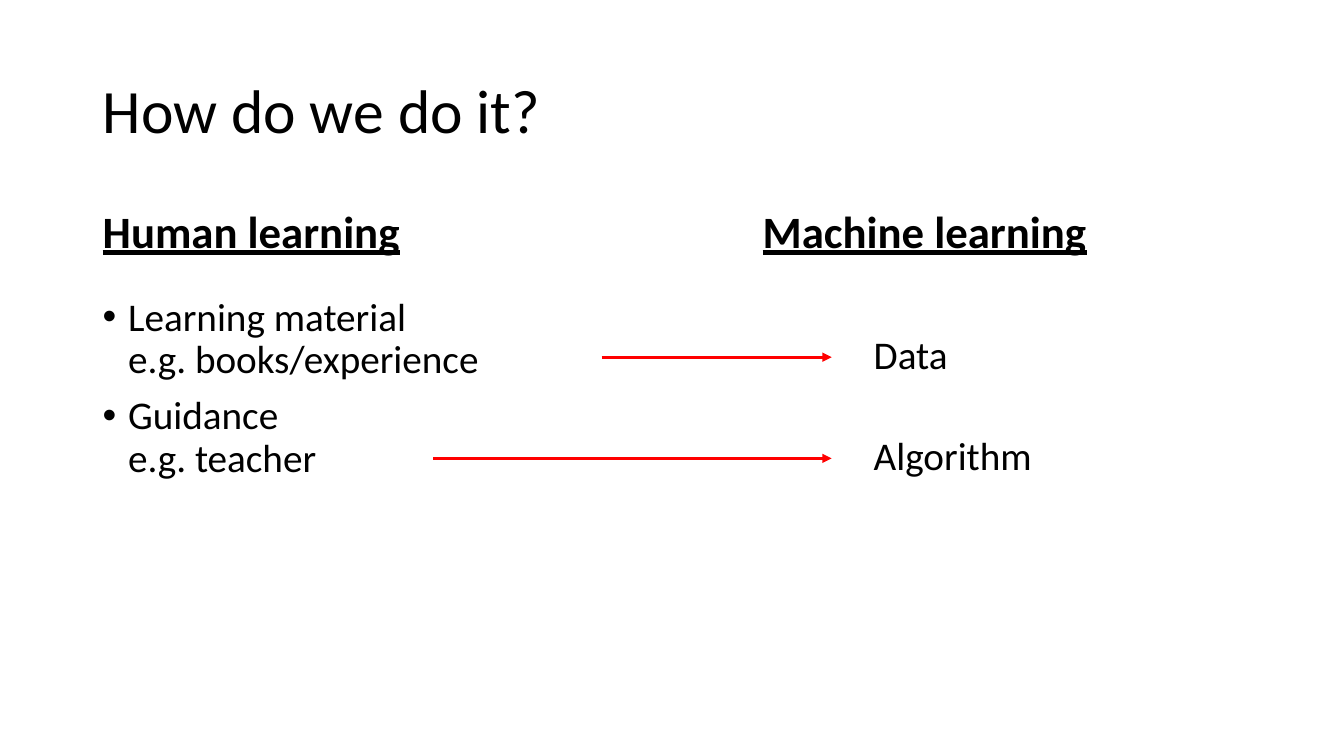
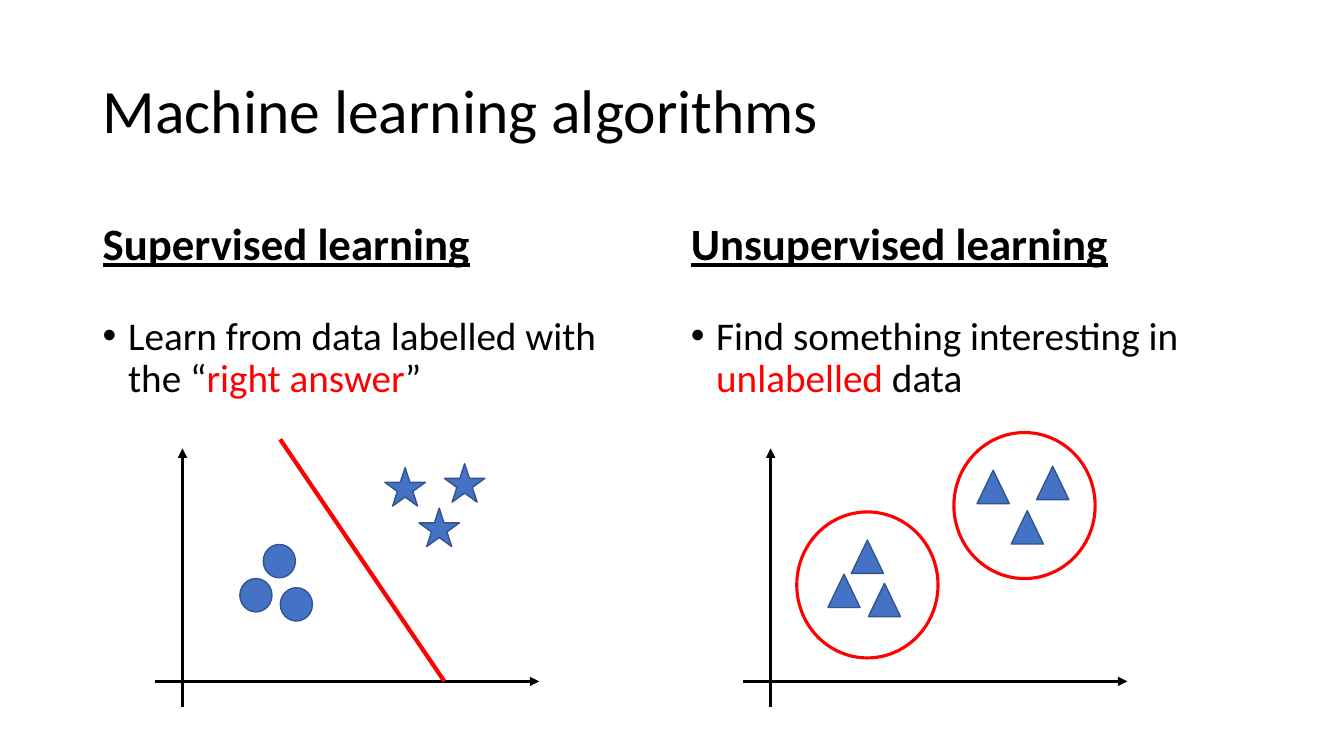
from dataclasses import dataclass

from lxml import etree
from pptx import Presentation
from pptx.dml.color import RGBColor
from pptx.enum import shapes, text
from pptx.oxml import ns
from pptx.util import Cm, Pt


@dataclass(frozen=True)
class Theme:
    font: str = "Calibri"
    ink: RGBColor = RGBColor(0, 0, 0)
    paper: RGBColor = RGBColor(255, 255, 255)
    accent: RGBColor = RGBColor(255, 0, 0)
    mark: RGBColor = RGBColor(0x44, 0x72, 0xC4)
    mark_edge: RGBColor = RGBColor(0x32, 0x54, 0x91)
    title: int = 44
    heading: int = 32
    body: int = 28


THEME = Theme()
TITLE = {"size": Pt(THEME.title)}
HEADING = {"size": Pt(THEME.heading), "bold": True, "underline": True}
BODY = {"size": Pt(THEME.body)}
LEFT, COLUMN_STEP = 2.34, 14.82
MIDDLE, TOP = text.MSO_ANCHOR.MIDDLE, text.MSO_ANCHOR.TOP


def add_text(page, area, paragraphs, style, anchor=TOP, spacing=0.9, before=0, bullet=False):
    """Each paragraph is a list of (words, colour) pairs; a newline in words breaks the line."""
    box = page.shapes.add_textbox(*map(Cm, area))
    frame = box.text_frame
    frame.word_wrap = True
    frame.vertical_anchor = anchor
    for index, spans in enumerate(paragraphs):
        para = frame.add_paragraph() if index else frame.paragraphs[0]
        para.line_spacing = spacing
        para.space_before = Pt(before)
        if bullet:
            props = para._p.get_or_add_pPr()
            props.set("marL", str(Cm(0.64)))
            props.set("indent", str(-Cm(0.64)))
            etree.SubElement(props, ns.qn("a:buFont"), typeface="Arial")
            etree.SubElement(props, ns.qn("a:buChar"), char="•")
        for words, colour in spans:
            for number, line in enumerate(words.split("\n")):
                if number:
                    para.add_line_break()
                span = para.add_run()
                span.text = line
                for name, value in {"name": THEME.font, **style}.items():
                    setattr(span.font, name, value)
                span.font.color.rgb = colour


def add_line(page, start, end, colour, width=2.25, arrow=True):
    line = page.shapes.add_connector(shapes.MSO_CONNECTOR.STRAIGHT, *map(Cm, (*start, *end)))
    line.line.color.rgb = colour
    line.line.width = Pt(width)
    if arrow:
        etree.SubElement(line.line._get_or_add_ln(), ns.qn("a:tailEnd"), type="triangle")
    etree.SubElement(line._element.spPr, ns.qn("a:effectLst"))


deck = Presentation()
deck.slide_width, deck.slide_height = Cm(33.87), Cm(19.05)
pages = []
for title in ("How do we do it?", "Machine learning algorithms"):
    page = deck.slides.add_slide(deck.slide_layouts[6])
    add_text(page, (LEFT, 1.02, 29.21, 3.68), [[(title, THEME.ink)]], TITLE, MIDDLE)
    pages.append(page)
comparison, algorithms = pages

# Human and machine learning side by side
for left, heading in ((LEFT, "Human learning"), (18.97, "Machine learning")):
    add_text(comparison, (left, 5.06, 10.62, 1.65), [[(heading, THEME.ink)]], HEADING, MIDDLE)
needs = ("Learning material\ne.g. books/experience", "Guidance\ne.g. teacher")
add_text(comparison, (LEFT, 7.37, 14.4, 9.78), [[(need, THEME.ink)] for need in needs],
         BODY, before=10, bullet=True)
for row, (label, arrow_left) in enumerate((("Data", 15.16), ("Algorithm", 10.92))):
    label_top = 8.43 + 2.55 * row
    arrow_y = label_top + 0.57
    add_text(comparison, (21.77, label_top, 5.79, 1.22), [[(label, THEME.ink)]],
             BODY, spacing=0.8, before=10)
    add_line(comparison, (arrow_left, arrow_y), (20.96, arrow_y), THEME.accent)

# Supervised and unsupervised learning; cluster centres are measured from the column's left
SHAPE = shapes.MSO_SHAPE
UPPER = ((7.87, 12.27), (8.73, 13.29), (9.37, 12.17))
LOWER = ((4.7, 14.14), (4.11, 15), (5.13, 15.23))
LOWER_RAISED = tuple((x, y - 0.11) for x, y in LOWER)
RINGS = ((8.66, 12.74), (4.7, 14.74))
star = (SHAPE.STAR_5_POINT, 1.02, 0.97, THEME.mark, THEME.mark_edge, 1)
disc = (SHAPE.OVAL, 0.81, 0.84, THEME.mark, THEME.mark_edge, 1)
triangle = (SHAPE.ISOSCELES_TRIANGLE, 0.81, 0.84, THEME.mark, THEME.mark_edge, 1)
ring = (SHAPE.OVAL, 3.56, 3.68, THEME.paper, THEME.accent, 2.25)
columns = (
    ("Supervised learning",
     [("Learn from data labelled with the “", THEME.ink), ("right answer", THEME.accent),
      ("”", THEME.ink)],
     ((star, UPPER), (disc, LOWER))),
    ("Unsupervised learning",
     [("Find something interesting in ", THEME.ink), ("unlabelled", THEME.accent),
      (" data", THEME.ink)],
     ((ring, RINGS), (triangle, UPPER + LOWER_RAISED))),
)
for index, (heading, summary, clusters) in enumerate(columns):
    left = LEFT + COLUMN_STEP * index
    add_text(algorithms, (left, 5.38, 11.76, 1.65), [[(heading, THEME.ink)]], HEADING, MIDDLE)
    add_text(algorithms, (left, 7.85, 14.4, 2.6), [summary], BODY, before=10, bullet=True)
    for (kind, width, height, fill, edge, weight), centres in clusters:
        for x, y in centres:
            mark = algorithms.shapes.add_shape(
                kind, *map(Cm, (left + x - width / 2, y - height / 2, width, height)))
            mark.shadow.inherit = False
            mark.fill.solid()
            mark.fill.fore_color.rgb = fill
            mark.line.color.rgb = edge
            mark.line.width = Pt(weight)
    add_line(algorithms, (left + 1.57, 17.17), (left + 11.25, 17.17), THEME.ink)
    add_line(algorithms, (left + 2.26, 17.81), (left + 2.26, 11.3), THEME.ink)
add_line(algorithms, (7.06, 11.07), (11.2, 17.17), THEME.accent, width=3, arrow=False)

deck.save("out.pptx")
